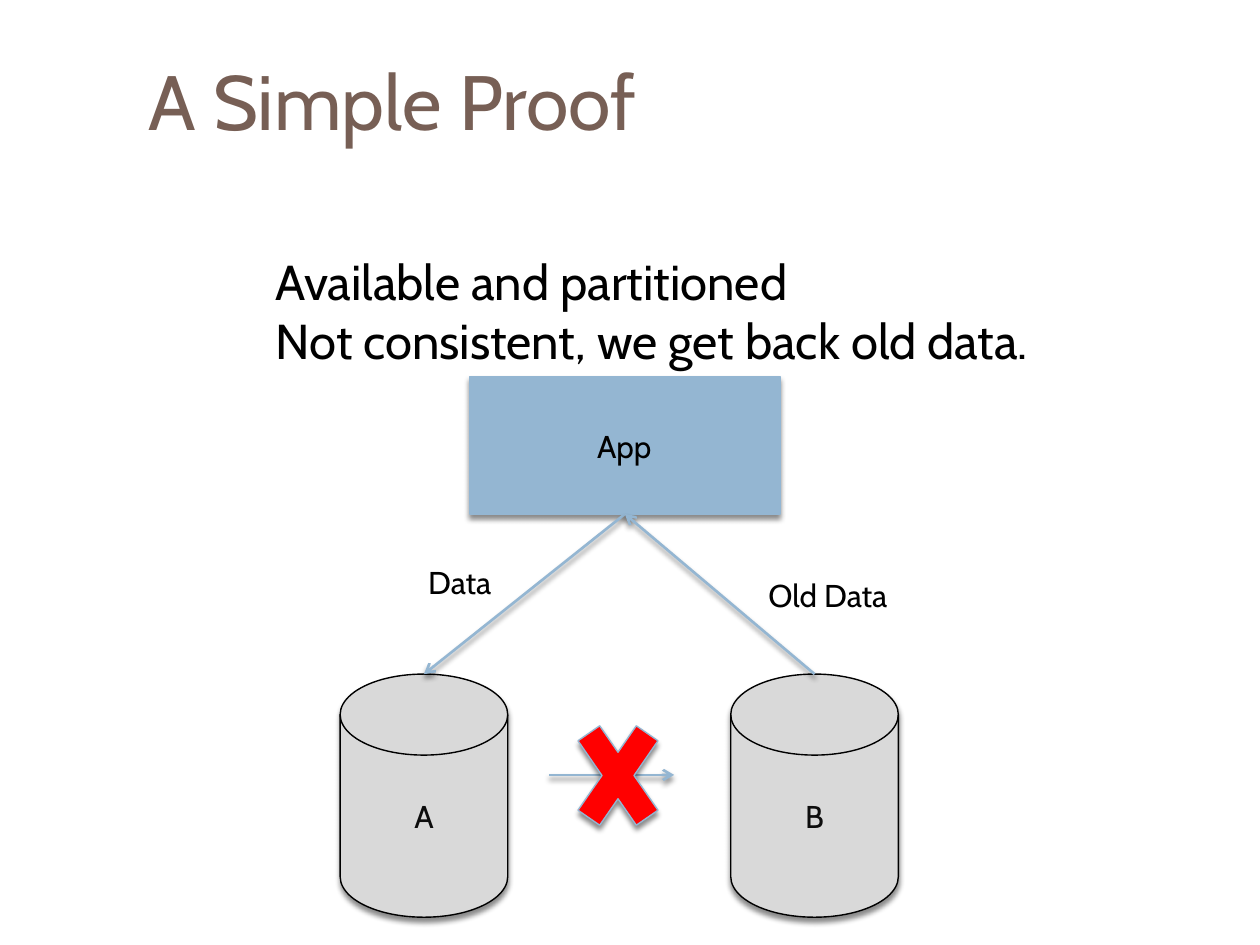
from lxml import etree
from pptx import Presentation
from pptx.dml.color import RGBColor
from pptx.enum.shapes import MSO_CONNECTOR, MSO_SHAPE
from pptx.enum.text import MSO_ANCHOR, MSO_AUTO_SIZE, PP_ALIGN
from pptx.oxml.ns import qn
from pptx.util import Inches, Pt

STRAIGHT = MSO_CONNECTOR.STRAIGHT
RECTANGLE = MSO_SHAPE.RECTANGLE
DISK = MSO_SHAPE.FLOWCHART_MAGNETIC_DISK
CROSS = MSO_SHAPE.MATH_MULTIPLY
MIDDLE = MSO_ANCHOR.MIDDLE
TOP = MSO_ANCHOR.TOP
CENTER = PP_ALIGN.CENTER
FIT_TEXT = MSO_AUTO_SIZE.SHAPE_TO_FIT_TEXT

BROWN = RGBColor(0x77, 0x5F, 0x55)
BLACK = RGBColor(0, 0, 0)
NEAR_BLACK = RGBColor(0x0D, 0x0D, 0x0D)
GRAY = RGBColor(0xD9, 0xD9, 0xD9)
BLUE = RGBColor(0x94, 0xB6, 0xD2)
RED = RGBColor(0xFF, 0, 0)

BOTTOM_SIDE = 2


class Diagram:
    font = "Cabin"
    label_size = 18
    outline_width = 0.79
    arrow_width = 1.5

    def __init__(self, slide):
        self.slide = slide

    def fill_text(self, frame, lines, size, color, align=None):
        for i, line in enumerate(lines):
            paragraph = frame.paragraphs[0] if i == 0 else frame.add_paragraph()
            paragraph.text = line
            paragraph.alignment = align
            paragraph.font.name = self.font
            paragraph.font.size = Pt(size)
            paragraph.font.color.rgb = color

    def cast_shadow(self, effects):
        shadow = etree.SubElement(effects, qn("a:outerShdw"), blurRad=str(Pt(3)),
                                  dist=str(Pt(2.4)), dir="5400000", rotWithShape="0")
        color = etree.SubElement(shadow, qn("a:srgbClr"), val=str(BLACK))
        etree.SubElement(color, qn("a:alpha"), val="45000")

    def text(self, left, top, width, height, *lines, size=label_size, color=BLACK,
             anchor=TOP, wrap=False):
        box = self.slide.shapes.add_textbox(Inches(left), Inches(top),
                                            Inches(width), Inches(height))
        frame = box.text_frame
        frame.word_wrap = wrap
        frame.vertical_anchor = anchor
        if not wrap:
            frame.auto_size = FIT_TEXT
        self.fill_text(frame, lines, size, color)

    def shape(self, kind, left, top, width, height, fill, outline, label=None):
        shape = self.slide.shapes.add_shape(kind, Inches(left), Inches(top),
                                            Inches(width), Inches(height))
        shape.fill.solid()
        shape.fill.fore_color.rgb = fill
        shape.line.color.rgb = outline
        shape.line.width = Pt(self.outline_width)
        shape.shadow.inherit = False
        self.cast_shadow(shape._element.spPr.find(qn("a:effectLst")))
        if label:
            shape.text_frame.vertical_anchor = MIDDLE
            self.fill_text(shape.text_frame, [label], self.label_size, NEAR_BLACK, CENTER)
        return shape

    def arrow(self, start, end):
        arrow = self.slide.shapes.add_connector(
            STRAIGHT, *(Inches(value) for value in (*start, *end)))
        arrow.line.color.rgb = BLUE
        arrow.line.width = Pt(self.arrow_width)
        properties = arrow._element.spPr
        etree.SubElement(properties.find(qn("a:ln")), qn("a:tailEnd"), type="arrow")
        self.cast_shadow(etree.SubElement(properties, qn("a:effectLst")))
        return arrow


def main():
    presentation = Presentation()
    presentation.slide_width = Inches(10)
    presentation.slide_height = Inches(7.5)
    diagram = Diagram(presentation.slides.add_slide(presentation.slide_layouts[6]))

    # Title
    diagram.text(1.08, 0.25, 8.92, 1.08, "A Simple Proof",
                 size=44, color=BROWN, anchor=MIDDLE, wrap=True)

    # Two data stores and the app
    disk_top, disk_width = 5.35, 1.33
    store_a, store_b = 2.7, 5.8
    for left, name in ((store_a, "A"), (store_b, "B")):
        diagram.shape(DISK, left, disk_top, disk_width, 1.93, GRAY, BLACK, name)
    app = diagram.shape(RECTANGLE, 3.73, 2.99, 2.46, 1.09, BLUE, BLUE)

    # Data goes to A, old data comes back from B
    app_bottom = (4.96, 4.08)
    data = diagram.arrow(app_bottom, (store_a + disk_width / 2, disk_top))
    data.begin_connect(app, BOTTOM_SIDE)
    old_data = diagram.arrow((store_b + disk_width / 2, disk_top), app_bottom)
    old_data.end_connect(app, BOTTOM_SIDE)
    diagram.text(3.3, 4.42, 0.73, 0.4, "Data")
    diagram.text(6, 4.52, 1.2, 0.4, "Old Data")

    # Broken link between the stores
    diagram.arrow((4.36, 6.15), (5.35, 6.15))
    diagram.shape(CROSS, 4.46, 5.51, 0.89, 1.29, RED, BLUE)

    # Conclusion and app label
    diagram.text(2.09, 1.95, 6.63, 1.04, "Available and partitioned",
                 "Not consistent, we get back old data.", size=28)
    diagram.text(4.64, 3.34, 0.65, 0.4, "App")

    presentation.save("out.pptx")


if __name__ == "__main__":
    main()
